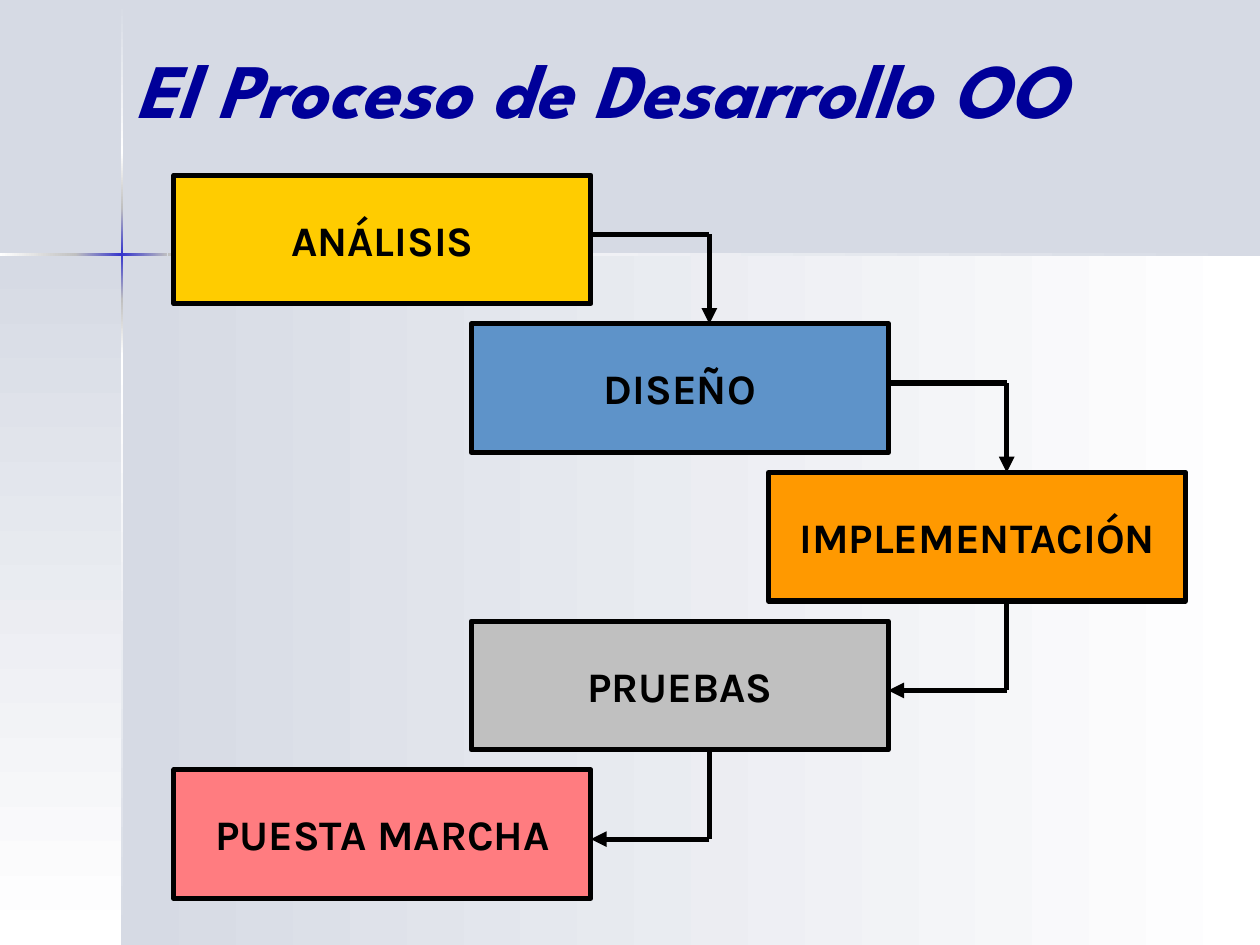
from copy import deepcopy
from itertools import pairwise
from typing import NamedTuple

from lxml import etree
from pptx import Presentation
from pptx.dml.color import RGBColor
from pptx.enum.shapes import MSO_CONNECTOR, MSO_SHAPE
from pptx.enum.text import MSO_ANCHOR, PP_ALIGN
from pptx.oxml.ns import qn
from pptx.util import Inches, Pt

RECTANGLE = MSO_SHAPE.RECTANGLE
STRAIGHT = MSO_CONNECTOR.STRAIGHT
MIDDLE = MSO_ANCHOR.MIDDLE
CENTER = PP_ALIGN.CENTER

MIST = RGBColor(0xD6, 0xDA, 0xE4)
WHITE = RGBColor(0xFF, 0xFF, 0xFF)
SILVER = RGBColor(0xC0, 0xC0, 0xC0)
INDIGO = RGBColor(0x33, 0x33, 0xCC)
NAVY = RGBColor(0x00, 0x00, 0x99)
BLACK = RGBColor(0x00, 0x00, 0x00)
YELLOW = RGBColor(0xFF, 0xCC, 0x00)
BLUE = RGBColor(0x5E, 0x93, 0xC9)
ORANGE = RGBColor(0xFF, 0x99, 0x00)
PINK = RGBColor(0xFF, 0x7C, 0x80)

STAGE_WIDTH, STAGE_HEIGHT = 3.31, 1.02
FIRST_LEFT, FIRST_TOP = 1.38, 1.39
COLUMN_STEP, ROW_STEP = 2.36, 1.18
ELBOW_OFFSET = 4.25
EXIT_OFFSET, ENTRY_OFFSET = 0.47, 0.55
OUTLINE = Pt(3)


class Band(NamedTuple):
    left: float
    top: float
    width: float
    height: float
    colors: tuple[RGBColor, ...]
    vertical: bool


class Stage(NamedTuple):
    label: str
    column: int
    row: int
    color: RGBColor

    @property
    def left(self) -> float:
        return FIRST_LEFT + COLUMN_STEP * self.column

    @property
    def top(self) -> float:
        return FIRST_TOP + ROW_STEP * self.row


class Point(NamedTuple):
    x: float
    y: float


BANDS = [
    Band(0.97, 2.02, 9.03, 5.48, (MIST, WHITE), False),
    Band(0, 2.02, 0.97, 5.48, (MIST, WHITE), True),
    Band(0.96, 0.01, 0.02, 1.21, (MIST, WHITE), True),
    Band(0.96, 2.82, 0.02, 4.68, (WHITE, MIST), True),
    Band(1.77, 2.01, 8.23, 0.02, (WHITE, MIST), False),
    Band(0.96, 2.38, 0.02, 0.44, (SILVER, WHITE), True),
    Band(0.96, 1.21, 0.02, 0.44, (WHITE, SILVER), True),
    Band(0.96, 1.65, 0.02, 0.73, (SILVER, INDIGO, SILVER), True),
    Band(0, 2.01, 0.61, 0.02, (WHITE, SILVER), False),
    Band(1.33, 2.01, 0.44, 0.02, (SILVER, WHITE), False),
    Band(0.6, 2.01, 0.73, 0.02, (SILVER, INDIGO, SILVER), False),
]

STAGES = [
    Stage("ANÁLISIS", 0, 0, YELLOW),
    Stage("DISEÑO", 1, 1, BLUE),
    Stage("IMPLEMENTACIÓN", 2, 2, ORANGE),
    Stage("PRUEBAS", 1, 3, SILVER),
    Stage("PUESTA MARCHA", 0, 4, PINK),
]


def draw_band(slide, band: Band) -> None:
    panel = slide.shapes.add_shape(RECTANGLE, *map(Inches, band[:4]))
    panel.shadow.inherit = False
    panel.line.fill.background()
    panel.fill.gradient()
    panel.fill.gradient_angle = 270 if band.vertical else 0
    stop_list = panel._element.spPr.find(qn("a:gradFill")).find(qn("a:gsLst"))
    if len(band.colors) == 3:
        stop_list.insert(1, deepcopy(stop_list[0]))
    last = len(band.colors) - 1
    for index, (stop, color) in enumerate(zip(panel.fill.gradient_stops, band.colors)):
        stop.position = index / last
        stop.color.rgb = color


def draw_title(slide) -> None:
    title = slide.shapes.add_textbox(Inches(0.98), Inches(0.36), Inches(8.73), Inches(0.67))
    frame = title.text_frame
    frame.word_wrap = True
    frame.vertical_anchor = MIDDLE
    heading = frame.paragraphs[0]
    heading.text = "El Proceso de Desarrollo OO"
    heading.font.name = "League Spartan"
    heading.font.size = Pt(44)
    heading.font.bold = True
    heading.font.italic = True
    heading.font.color.rgb = NAVY


def draw_stage(slide, stage: Stage) -> None:
    box = slide.shapes.add_shape(
        RECTANGLE, Inches(stage.left), Inches(stage.top), Inches(STAGE_WIDTH), Inches(STAGE_HEIGHT)
    )
    box.shadow.inherit = False
    box.fill.solid()
    box.fill.fore_color.rgb = stage.color
    box.line.color.rgb = BLACK
    box.line.width = OUTLINE
    frame = box.text_frame
    frame.word_wrap = False
    frame.vertical_anchor = MIDDLE
    label = frame.paragraphs[0]
    label.text = stage.label
    label.alignment = CENTER
    label.font.name = "Karla"
    label.font.size = Pt(24)
    label.font.bold = True
    label.font.color.rgb = BLACK


def draw_segment(slide, start: Point, end: Point, arrow: bool) -> None:
    segment = slide.shapes.add_connector(STRAIGHT, *map(Inches, (*start, *end)))
    segment.line.color.rgb = BLACK
    segment.line.width = OUTLINE
    if arrow:
        etree.SubElement(segment.line._get_or_add_ln(), qn("a:tailEnd"), type="triangle")
    etree.SubElement(segment._element.spPr, qn("a:effectLst"))


def draw_link(slide, source: Stage, target: Stage) -> None:
    elbow_x = min(source.left, target.left) + ELBOW_OFFSET
    if target.column > source.column:
        exit_y = source.top + EXIT_OFFSET
        start = Point(source.left + STAGE_WIDTH, exit_y)
        corner = Point(elbow_x, exit_y)
        end = Point(elbow_x, target.top)
    else:
        entry_y = target.top + ENTRY_OFFSET
        start = Point(elbow_x, source.top + STAGE_HEIGHT)
        corner = Point(elbow_x, entry_y)
        end = Point(target.left + STAGE_WIDTH, entry_y)
    draw_segment(slide, start, corner, arrow=False)
    draw_segment(slide, corner, end, arrow=True)


def main() -> None:
    presentation = Presentation()
    presentation.slide_width = Inches(10)
    presentation.slide_height = Inches(7.5)
    slide = presentation.slides.add_slide(presentation.slide_layouts[6])
    slide.background.fill.solid()
    slide.background.fill.fore_color.rgb = MIST
    for band in BANDS:
        draw_band(slide, band)
    draw_title(slide)
    for stage in STAGES:
        draw_stage(slide, stage)
    for source, target in pairwise(STAGES):
        draw_link(slide, source, target)
    presentation.save("out.pptx")


if __name__ == "__main__":
    main()
